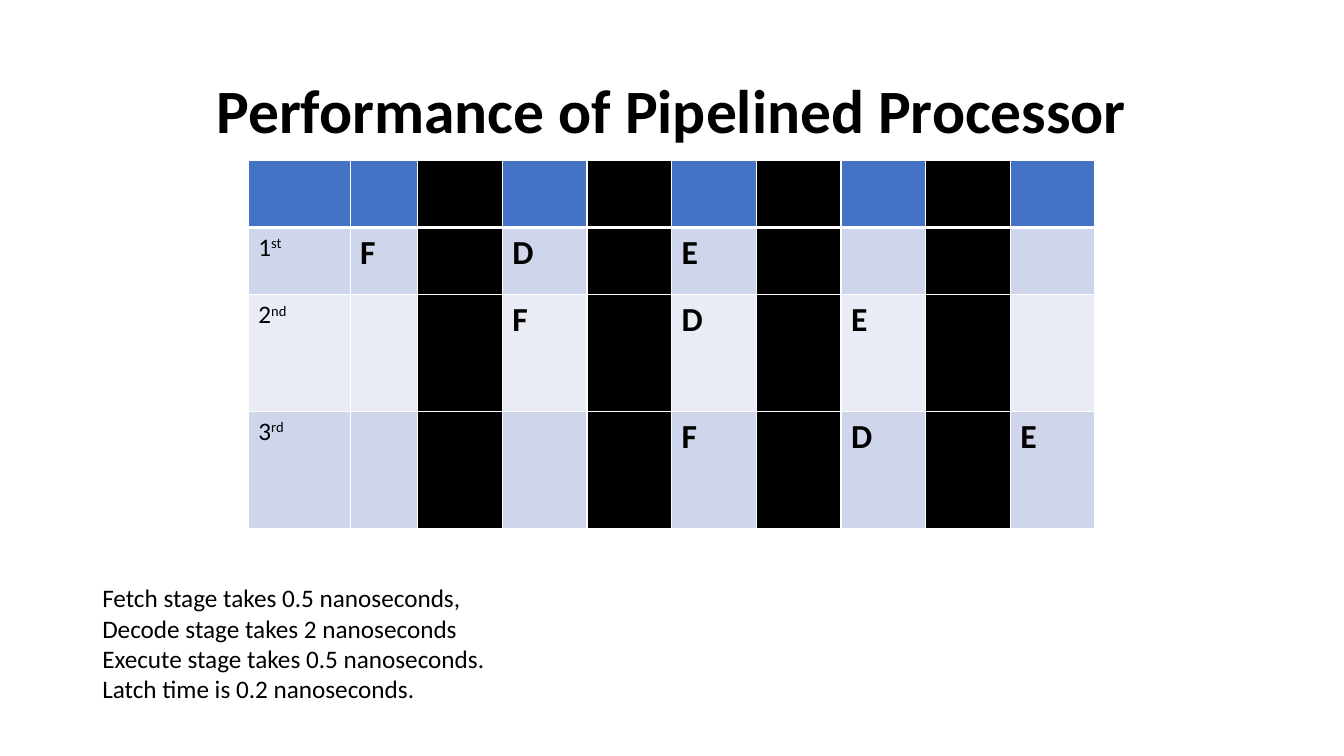
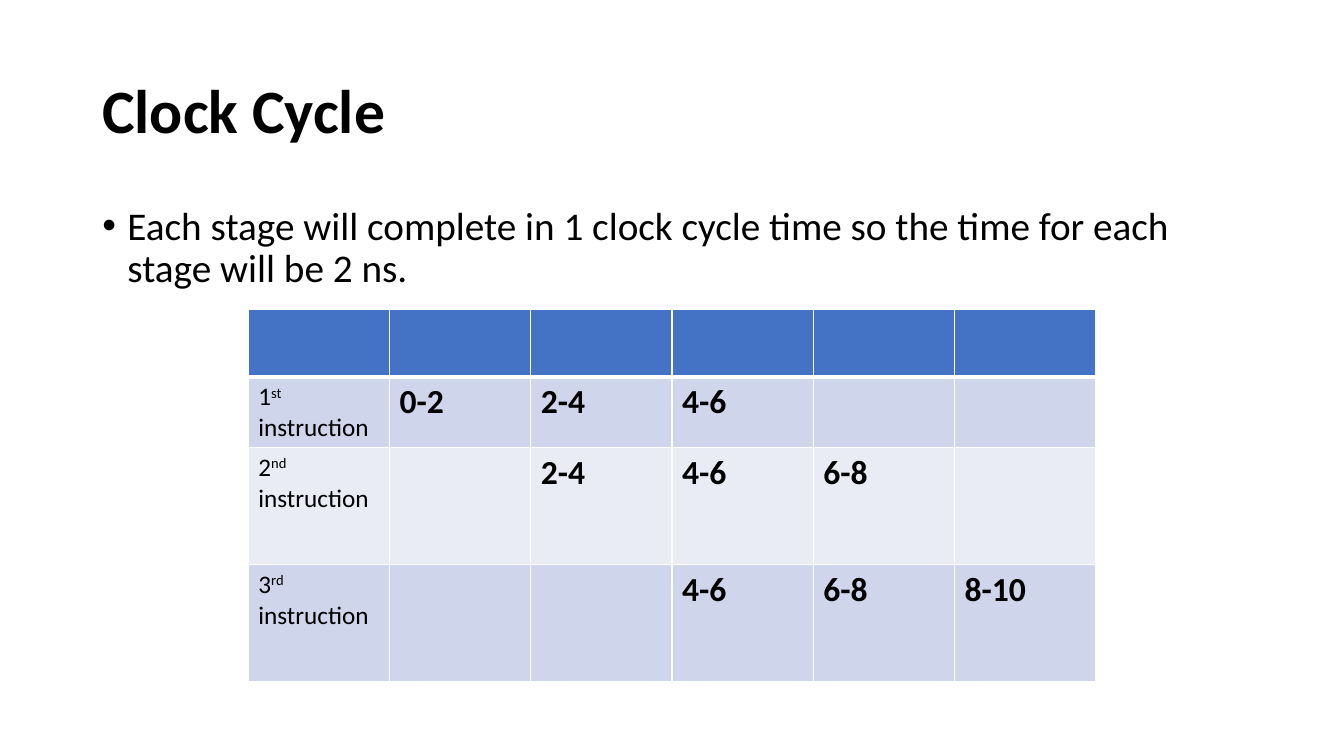
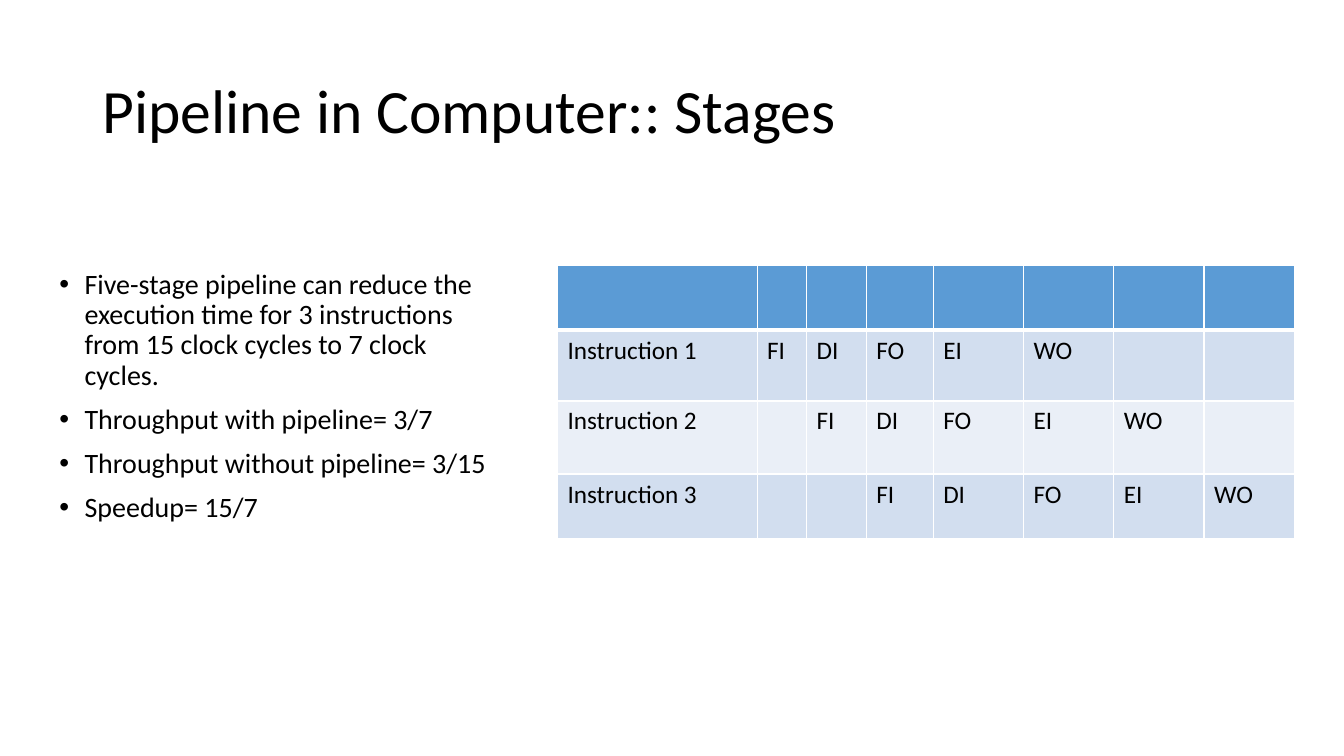
"""Build three slides on pipelined processor timing."""
from collections.abc import Sequence
from dataclasses import dataclass

from lxml.etree import SubElement
from pptx import Presentation
from pptx.dml.color import RGBColor
from pptx.enum.text import MSO_ANCHOR as Anchor, PP_ALIGN as Align
from pptx.oxml.ns import qn
from pptx.util import Pt

FONT = "Calibri"
BLACK = RGBColor(0x00, 0x00, 0x00)
WHITE = RGBColor(0xFF, 0xFF, 0xFF)
THIN, THICK = 1, 3
BULLET_INDENT = 18


@dataclass(frozen=True)
class Box:
    left: float
    top: float
    width: float
    height: float


@dataclass(frozen=True)
class Run:
    text: str
    size: float = 18
    bold: bool = False
    raised: bool = False


@dataclass(frozen=True)
class Palette:
    header: RGBColor
    odd: RGBColor
    even: RGBColor


@dataclass(frozen=True)
class Style:
    align: Align = Align.LEFT
    anchor: Anchor = Anchor.TOP
    line_spacing: float = 1.0
    space_before: float = 0
    bulleted: bool = False


@dataclass(frozen=True)
class Schedule:
    left: float
    top: float
    columns: Sequence[float]
    rows: Sequence[float]
    palette: Palette
    labels: Sequence[Sequence[Sequence[Run]]]
    stages: Sequence[Sequence[Run]]
    step: int = 1
    latch_columns: Sequence[int] = ()


INDIGO = Palette(RGBColor(0x44, 0x72, 0xC4), RGBColor(0xCF, 0xD5, 0xEA), RGBColor(0xE9, 0xEB, 0xF5))
SKY = Palette(RGBColor(0x5B, 0x9B, 0xD5), RGBColor(0xD2, 0xDE, 0xEF), RGBColor(0xEA, 0xEF, 0xF7))
TITLE_BOX = Box(66, 28.8, 828, 104.4)
BULLETS = Style(line_spacing=0.9, space_before=10, bulleted=True)
TABLE_LEFT = 177.4
ROW_HEIGHTS = (48, 48, 83.5, 83.5)


def add_runs(paragraph, runs: Sequence[Run]) -> None:
    for item in runs:
        run = paragraph.add_run()
        run.text = item.text
        run.font.name = FONT
        run.font.size = Pt(item.size)
        run.font.bold = item.bold
        run.font.color.rgb = BLACK
        if item.raised:
            run.font._element.set("baseline", "30000")


def add_bullet(paragraph) -> None:
    properties = paragraph._p.get_or_add_pPr()
    properties.set("marL", str(Pt(BULLET_INDENT)))
    properties.set("indent", str(-Pt(BULLET_INDENT)))
    SubElement(properties, qn("a:buFont")).set("typeface", "Arial")
    SubElement(properties, qn("a:buChar")).set("char", "•")


def fill_text(frame, paragraphs: Sequence[Sequence[Run]], style: Style = Style()) -> None:
    for index, runs in enumerate(paragraphs):
        paragraph = frame.add_paragraph() if index else frame.paragraphs[0]
        if style.bulleted:
            add_bullet(paragraph)
        paragraph.alignment = style.align
        paragraph.line_spacing = style.line_spacing
        paragraph.space_before = Pt(style.space_before if index else 0)
        add_runs(paragraph, runs)


def add_text(slide, box: Box, paragraphs: Sequence[Sequence[Run]], style: Style = Style()) -> None:
    shape = slide.shapes.add_textbox(Pt(box.left), Pt(box.top), Pt(box.width), Pt(box.height))
    frame = shape.text_frame
    frame.word_wrap = True
    frame.vertical_anchor = style.anchor
    fill_text(frame, paragraphs, style)


def add_title(slide, text: str, bold: bool = True, align: Align = Align.LEFT) -> None:
    style = Style(align=align, anchor=Anchor.MIDDLE, line_spacing=0.9)
    add_text(slide, TITLE_BOX, [[Run(text, 44, bold)]], style)


def paint_cell(cell, colour: RGBColor, top: float, bottom: float) -> None:
    properties = cell._tc.get_or_add_tcPr()
    for side, width in (("L", THIN), ("R", THIN), ("T", top), ("B", bottom)):
        line = SubElement(properties, qn(f"a:ln{side}"), w=str(Pt(width)))
        solid = SubElement(line, qn("a:solidFill"))
        SubElement(solid, qn("a:srgbClr"), val=str(WHITE))
    cell.fill.solid()
    cell.fill.fore_color.rgb = colour


def add_schedule(slide, schedule: Schedule) -> None:
    columns, rows, palette = schedule.columns, schedule.rows, schedule.palette
    table = slide.shapes.add_table(
        len(rows), len(columns), Pt(schedule.left), Pt(schedule.top), Pt(sum(columns)), Pt(sum(rows))
    ).table
    for column, width in zip(table.columns, columns):
        column.width = Pt(width)
    for row_index, height in enumerate(rows):
        table.rows[row_index].height = Pt(height)
        band = palette.odd if row_index % 2 else palette.even
        colour = band if row_index else palette.header
        top = THICK if row_index == 1 else THIN
        bottom = THIN if row_index else THICK
        for column_index in range(len(columns)):
            latch = column_index in schedule.latch_columns
            paint_cell(table.cell(row_index, column_index), BLACK if latch else colour, top, bottom)
    for start, (label, stages) in enumerate(zip(schedule.labels, schedule.stages)):
        fill_text(table.cell(start + 1, 0).text_frame, label)
        for offset, stage in enumerate(stages):
            cell = table.cell(start + 1, 1 + schedule.step * (start + offset))
            fill_text(cell.text_frame, [[stage]])


def build_performance(slide) -> None:
    add_title(slide, "Performance of Pipelined Processor", align=Align.CENTER)
    ordinals = (("1", "st"), ("2", "nd"), ("3", "rd"))
    add_schedule(slide, Schedule(
        TABLE_LEFT, 114.4, (72.7, 48.2, *[60.5] * 8), ROW_HEIGHTS, INDIGO,
        labels=[[[Run(number), Run(suffix, raised=True)]] for number, suffix in ordinals],
        stages=[[Run(letter, 24, True) for letter in "FDE"]] * 3,
        step=2,
        latch_columns=range(2, 10, 2),
    ))
    lines = (
        "Fetch stage takes 0.5 nanoseconds,",
        "Decode stage takes 2 nanoseconds",
        "Execute stage takes 0.5 nanoseconds.",
        "Latch time is 0.2 nanoseconds.",
    )
    add_text(slide, Box(66, 412.6, 479.5, 94.3), [[Run(line)] for line in lines])


def build_clock_cycle(slide) -> None:
    add_title(slide, "Clock Cycle")
    rule = "Each stage will complete in 1 clock cycle time so the time for each stage will be 2 ns."
    add_text(slide, Box(66, 144, 828, 342.7), [[Run(rule, 28)]], BULLETS)
    instruction = Run("instruction")
    cycle = 2
    add_schedule(slide, Schedule(
        TABLE_LEFT, 221.2, [100.9] * 6, ROW_HEIGHTS, INDIGO,
        labels=[
            [[Run("1"), Run("st ", raised=True), instruction]],
            [[Run("2"), Run("nd", raised=True)], [instruction]],
            [[Run("3"), Run("rd ", raised=True), instruction]],
        ],
        stages=[
            [Run(f"{cycle * slot}-{cycle * (slot + 1)}", 24, True) for slot in range(start, start + 3)]
            for start in range(3)
        ],
    ))


def build_stages(slide) -> None:
    add_title(slide, "Pipeline in Computer:: Stages", bold=False)
    points = (
        "Five-stage pipeline can reduce the execution time for 3 instructions "
        "from 15 clock cycles to 7 clock cycles.",
        "Throughput with pipeline= 3/7",
        "Throughput without pipeline= 3/15",
        "Speedup= 15/7",
    )
    add_text(slide, Box(35.3, 189.4, 332.6, 195.8), [[Run(point, 20)] for point in points], BULLETS)
    add_schedule(slide, Schedule(
        398.2, 189.4, (142.6, 35.3, 42.7, 47.8, *[64.5] * 4), (46.5, 50.5, 52.2, 46.5), SKY,
        labels=[[[Run(f"Instruction {number}")]] for number in range(1, 4)],
        stages=[[Run(stage) for stage in ("FI", "DI", "FO", "EI", "WO")]] * 3,
    ))


def main() -> None:
    presentation = Presentation()
    presentation.slide_width = Pt(960)
    presentation.slide_height = Pt(540)
    blank = presentation.slide_layouts[6]
    for build in (build_performance, build_clock_cycle, build_stages):
        build(presentation.slides.add_slide(blank))
    presentation.save("out.pptx")


if __name__ == "__main__":
    main()
